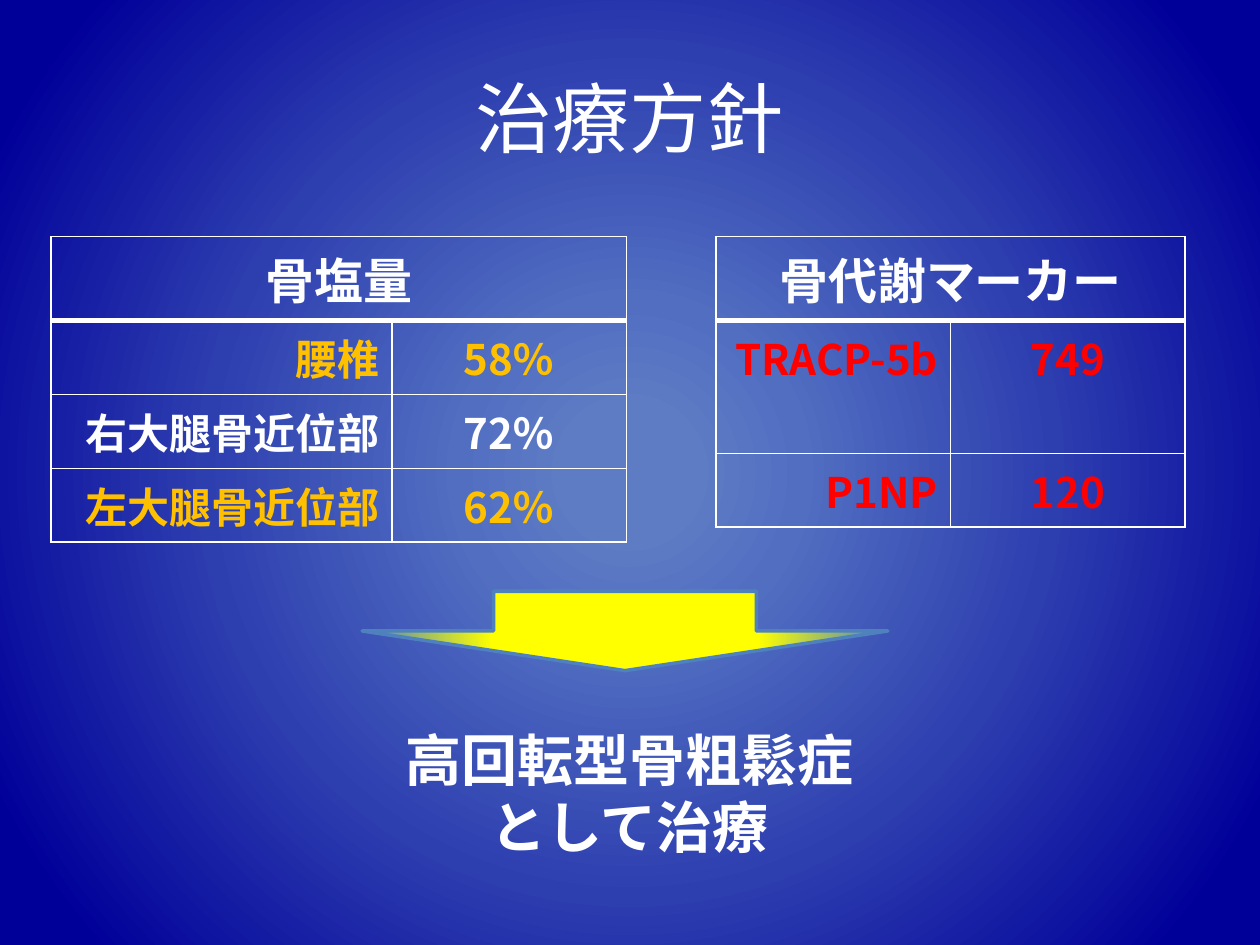
from dataclasses import dataclass
from lxml import etree
from pptx import Presentation
from pptx import util as u
from pptx.dml.color import RGBColor
from pptx.enum import shapes, text
from pptx.oxml.ns import qn


@dataclass(frozen=True)
class Theme:
    white: str = "FFFFFF"
    amber: str = "FFC000"
    red: str = "FF0000"
    edge: str = "4F81BD"
    back: tuple = ((8, "5E7CC4"), (22, "516EC1"), (54, "2D3EAF"), (91, "000099"))
    glow: tuple = ((50, "FFFF00"), (100, "467FC4"))
    sans: str = "Noto Sans CJK JP"
    serif: str = "TeX Gyre Schola"
    title: int = 44
    note: int = 32
    head: int = 28
    body: int = 24
    thin: float = 0.96
    thick: float = 3


T = Theme()
MID = text.PP_ALIGN.CENTER
RIGHT = text.PP_ALIGN.RIGHT


def node(up, tag, **attrs):
    return etree.SubElement(up, qn(tag), attrs)


def write(frame, words, size=T.body, color=T.white, font=T.sans, bold=True, align=MID):
    for i, line in enumerate(words.split("\n")):
        para = frame.paragraphs[0] if i == 0 else frame.add_paragraph()
        para.alignment = align
        run = para.add_run()
        run.text = line
        face = run.font
        face.size, face.bold, face.name = u.Pt(size), bold, font
        face.color.rgb = RGBColor.from_string(color)
        node(face._element, "a:ea", typeface=T.sans)


def radial(fill, owner, stops):
    fill.gradient()
    grad = owner.find(".//" + qn("a:gradFill"))
    for child in list(grad):
        grad.remove(child)
    marks = node(grad, "a:gsLst")
    for pos, color in stops:
        stop = node(marks, "a:gs", pos=str(pos * 1000))
        node(stop, "a:srgbClr", val=color)
    way = node(grad, "a:path", path="circle")
    node(way, "a:fillToRect", l="50000", t="50000", r="50000", b="50000")


def border(cell, top, base):
    cell.fill.background()
    props = cell._tc.get_or_add_tcPr()
    sides = (("L", T.thin), ("R", T.thin), ("T", top), ("B", base))
    for i, (side, width) in enumerate(sides):
        line = etree.Element(qn("a:ln" + side), w=str(u.Pt(width)))
        node(node(line, "a:solidFill"), "a:srgbClr", val=T.white)
        props.insert(i, line)


def grid(slide, left, top, cols, rows, head, data):
    frame = slide.shapes.add_table(len(rows), len(cols), u.Cm(left), u.Cm(top),
                                   u.Cm(sum(cols)), u.Cm(sum(rows)))
    table = frame.table
    table.horz_banding = False
    for col, width in zip(table.columns, cols):
        col.width = u.Cm(width)
    for row, height in zip(table.rows, rows):
        row.height = u.Cm(height)
    for i, row in enumerate(table.rows):
        for cell in row.cells:
            border(cell, T.thick if i == 1 else T.thin, T.thick if i == 0 else T.thin)
    table.cell(0, 0).merge(table.cell(0, 1))
    write(table.cell(0, 0).text_frame, head, size=T.head)
    for i, (name, value, color) in enumerate(data, 1):
        write(table.cell(i, 0).text_frame, name, color=color, align=RIGHT)
        write(table.cell(i, 1).text_frame, value, color=color)


def title(slide, words):
    box = slide.shapes.title
    box.left, box.top, box.width, box.height = map(u.Cm, (1.27, 0.76, 22.86, 3.18))
    box.text_frame.vertical_anchor = text.MSO_ANCHOR.MIDDLE
    write(box.text_frame, words, size=T.title, font=T.serif, bold=False)


def arrow(slide, *place):
    shape = slide.shapes.add_shape(shapes.MSO_SHAPE.DOWN_ARROW, *map(u.Cm, place))
    shape.shadow.inherit = False
    radial(shape.fill, shape.element, T.glow)
    shape.line.color.rgb = RGBColor.from_string(T.edge)
    shape.line.width = u.Pt(2)


def note(slide, words, *place):
    frame = slide.shapes.add_textbox(*map(u.Cm, place)).text_frame
    frame.word_wrap = True
    frame.auto_size = text.MSO_AUTO_SIZE.SHAPE_TO_FIT_TEXT
    write(frame, words, size=T.note, font=T.serif)


def main():
    deck = Presentation()
    deck.slide_width, deck.slide_height = u.Cm(25.4), u.Cm(19.05)
    slide = deck.slides.add_slide(deck.slide_layouts[5])
    radial(slide.background.fill, slide.element, T.back)
    title(slide, "治療方針")
    grid(slide, 1.03, 4.77, (6.87, 4.73), (1.69, 1.49, 1.49, 1.49), "骨塩量", (
        ("腰椎", "58％", T.amber),
        ("右大腿骨近位部", "72％", T.white),
        ("左大腿骨近位部", "62％", T.amber),
    ))
    grid(slide, 14.43, 4.77, (4.73, 4.73), (1.69, 2.68, 1.48), "骨代謝マーカー", (
        ("TRACP-5b", "749", T.red),
        ("P1NP", "120", T.red),
    ))
    arrow(slide, 7.3, 11.92, 10.6, 1.6)
    note(slide, "高回転型骨粗鬆症\nとして治療", 4.99, 14.5, 15.4, 2.97)
    deck.save("out.pptx")


if __name__ == "__main__":
    main()
